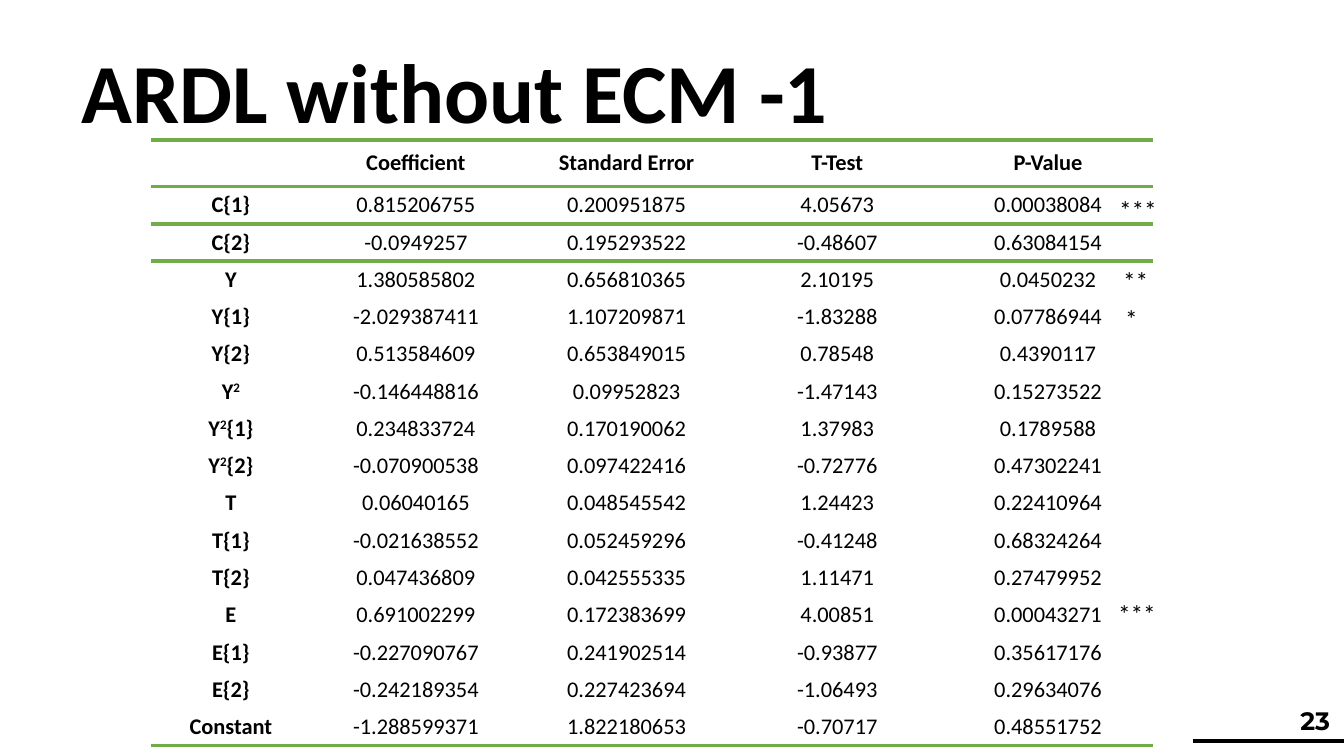
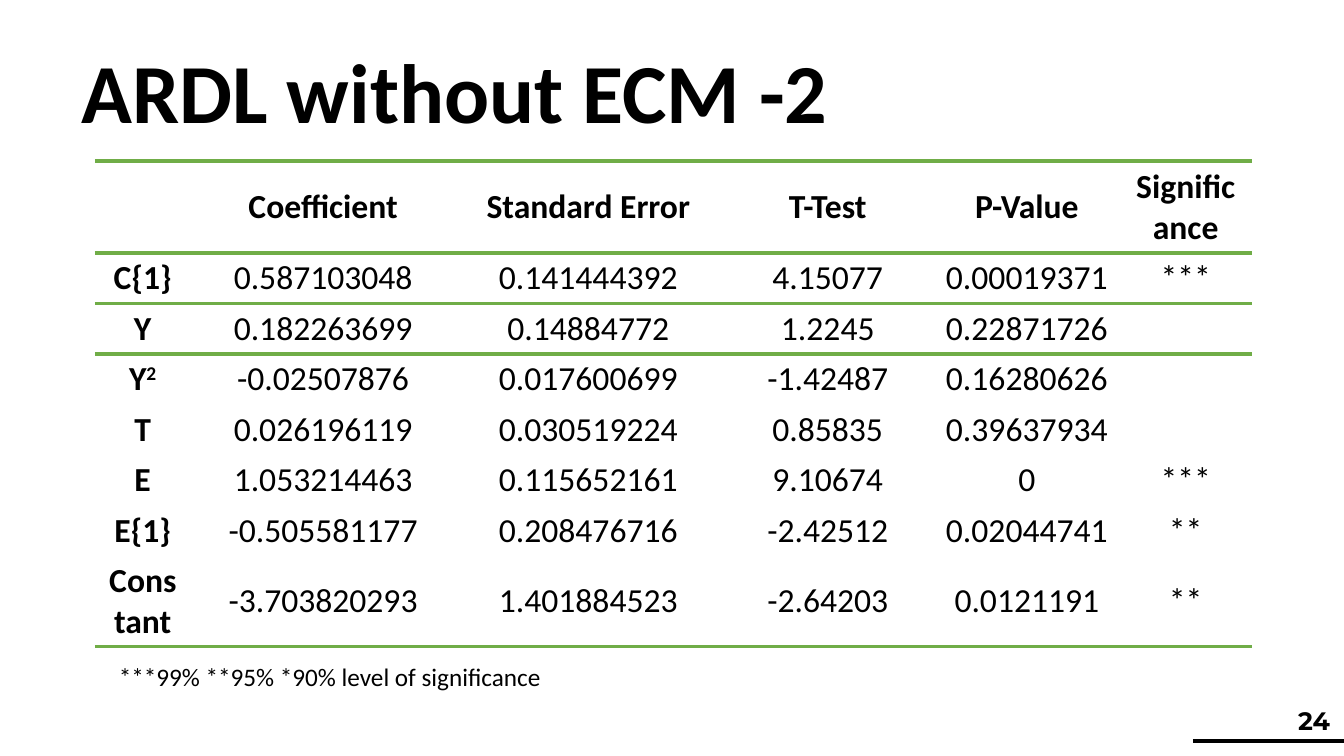
from lxml import etree
from pptx import Presentation
from pptx.dml.color import RGBColor
from pptx.enum.shapes import MSO_CONNECTOR
from pptx.enum.text import MSO_ANCHOR, MSO_AUTO_SIZE, PP_ALIGN
from pptx.oxml.ns import qn
from pptx.util import Inches, Pt

CENTER, LEFT, RIGHT = PP_ALIGN.CENTER, PP_ALIGN.LEFT, PP_ALIGN.RIGHT
TOP, MIDDLE = MSO_ANCHOR.TOP, MSO_ANCHOR.MIDDLE
GROW = MSO_AUTO_SIZE.SHAPE_TO_FIT_TEXT
STRAIGHT = MSO_CONNECTOR.STRAIGHT

COLORS = {"text": "000000", "rule": "70AD47", "background": "FFFFFF"}
BODY_FONT, NUMBER_FONT = "Calibri", "Montserrat"
PLAIN_TABLE_STYLE = "{2D5ABB26-0587-4C30-8999-92F81FD0307C}"
RULE_POINTS = 3
TITLE_BOX = (0.71, 0.23, 11.5, 1.45)
NUMBER_BOX = (10.29, 6.95, 3, 0.4)
HEADINGS = ["", "Coefficient", "Standard Error", "T-Test", "P-Value"]

LONG_MODEL = [
    HEADINGS,
    ["C{1}", "0.815206755", "0.200951875", "4.05673", "0.00038084"],
    ["C{2}", "-0.0949257", "0.195293522", "-0.48607", "0.63084154"],
    ["Y", "1.380585802", "0.656810365", "2.10195", "0.0450232"],
    ["Y{1}", "-2.029387411", "1.107209871", "-1.83288", "0.07786944"],
    ["Y{2}", "0.513584609", "0.653849015", "0.78548", "0.4390117"],
    ["Y²", "-0.146448816", "0.09952823", "-1.47143", "0.15273522"],
    ["Y²{1}", "0.234833724", "0.170190062", "1.37983", "0.1789588"],
    ["Y²{2}", "-0.070900538", "0.097422416", "-0.72776", "0.47302241"],
    ["T", "0.06040165", "0.048545542", "1.24423", "0.22410964"],
    ["T{1}", "-0.021638552", "0.052459296", "-0.41248", "0.68324264"],
    ["T{2}", "0.047436809", "0.042555335", "1.11471", "0.27479952"],
    ["E", "0.691002299", "0.172383699", "4.00851", "0.00043271"],
    ["E{1}", "-0.227090767", "0.241902514", "-0.93877", "0.35617176"],
    ["E{2}", "-0.242189354", "0.227423694", "-1.06493", "0.29634076"],
    ["Constant", "-1.288599371", "1.822180653", "-0.70717", "0.48551752"],
]
SHORT_MODEL = [
    HEADINGS + ["Significance"],
    ["C{1}", "0.587103048", "0.141444392", "4.15077", "0.00019371", "***"],
    ["Y", "0.182263699", "0.14884772", "1.2245", "0.22871726", ""],
    ["Y²", "-0.02507876", "0.017600699", "-1.42487", "0.16280626", ""],
    ["T", "0.026196119", "0.030519224", "0.85835", "0.39637934", ""],
    ["E", "1.053214463", "0.115652161", "9.10674", "0", "***"],
    ["E{1}", "-0.505581177", "0.208476716", "-2.42512", "0.02044741", "**"],
    ["Constant", "-3.703820293", "1.401884523", "-2.64203", "0.0121191", "**"],
]
STARS = [
    ("***", (11, 1.88, 0.58, 0.4)),
    ("***", (10.99, 5.89, 0.58, 0.4)),
    ("**", (11.04, 2.58, 0.45, 0.4)),
    ("*", (11.06, 2.96, 0.33, 0.4)),
]


def add_run(paragraph, text, size, bold=False, font=BODY_FONT, raised=False):
    """Append one styled run, raised when it is an exponent."""
    run = paragraph.add_run()
    run.text = text
    run.font.size = Pt(size)
    run.font.bold = bold
    run.font.name = font
    run.font.color.rgb = RGBColor.from_string(COLORS["text"])
    if raised:
        run.font._element.set("baseline", "30000")


def add_label(slide, box, text, size, bold=False, font=BODY_FONT,
              align=LEFT, anchor=TOP, wrap=True, spacing=None):
    """Place a one-paragraph text box; an unwrapped one fits its text."""
    frame = slide.shapes.add_textbox(*map(Inches, box)).text_frame
    frame.word_wrap = wrap
    frame.vertical_anchor = anchor
    if not wrap:
        frame.auto_size = GROW
    paragraph = frame.paragraphs[0]
    paragraph.alignment = align
    paragraph.line_spacing = spacing
    add_run(paragraph, text, size, bold, font)


def add_border(cell, side):
    """Draw the green rule on one side of a cell."""
    border = etree.SubElement(cell._tc.get_or_add_tcPr(), qn(f"a:ln{side}"),
                              w=str(Pt(RULE_POINTS)))
    fill = etree.SubElement(border, qn("a:solidFill"))
    etree.SubElement(fill, qn("a:srgbClr"), val=COLORS["rule"])


def fill_cell(cell, text, size, bold, sides):
    """Write centred text in a cell, with its rules and no fill."""
    cell.vertical_anchor = MIDDLE
    for side in sides:
        add_border(cell, side)
    cell.fill.background()
    paragraph = cell.text_frame.paragraphs[0]
    paragraph.alignment = CENTER
    for index, part in enumerate(text.split("²")):
        if index:
            add_run(paragraph, "2", size, bold, raised=True)
        if part:
            add_run(paragraph, part, size, bold)


def add_results(slide, left, top, rows, widths, header_height, row_height, size):
    """Place a regression table ruled around its first two rows and its end."""
    heights = [header_height] + [row_height] * (len(rows) - 1)
    frame = slide.shapes.add_table(
        len(rows), len(widths), Inches(left), Inches(top),
        Inches(sum(widths)), Inches(sum(heights)))
    table = frame.table
    table.first_row = table.horz_banding = False
    table._tbl.tblPr.find(qn("a:tableStyleId")).text = PLAIN_TABLE_STYLE
    for column, width in zip(table.columns, widths):
        column.width = Inches(width)
    for row, height in zip(table.rows, heights):
        row.height = Inches(height)
    last = len(rows) - 1
    for row_index, values in enumerate(rows):
        sides = (["T"] if row_index <= 2 else [])
        sides += ["B"] if row_index in (0, 1, last) else []
        for column_index, value in enumerate(values):
            bold = row_index == 0 or column_index == 0
            fill_cell(table.cell(row_index, column_index), value, size, bold, sides)


def add_footer(slide, number):
    """Place the page number and the line under it."""
    line = slide.shapes.add_connector(
        STRAIGHT, Inches(11.83), Inches(7.35), Inches(13.33), Inches(7.35))
    line.line.color.rgb = RGBColor.from_string(COLORS["text"])
    line.line.width = Pt(3)
    etree.SubElement(line._element.spPr, qn("a:effectLst"))
    add_label(slide, NUMBER_BOX, str(number), 18, True, NUMBER_FONT, RIGHT)


def add_model_slide(presentation, title, number):
    """Start a slide with the shared background, footer and title."""
    slide = presentation.slides.add_slide(presentation.slide_layouts[6])
    slide.background.fill.solid()
    slide.background.fill.fore_color.rgb = RGBColor.from_string(COLORS["background"])
    add_footer(slide, number)
    add_label(slide, TITLE_BOX, title, 60, True, anchor=MIDDLE, spacing=0.9)
    return slide


def main():
    """Build both slides and save them."""
    presentation = Presentation()
    presentation.slide_width = Inches(13.33)
    presentation.slide_height = Inches(7.5)

    slide = add_model_slide(presentation, "ARDL without ECM -1", 23)
    add_results(slide, 1.5, 1.39, LONG_MODEL, [1.58] + [2.09] * 4, 0.46, 0.37, 16)
    for stars, box in STARS:
        add_label(slide, box, stars, 18, wrap=False)

    slide = add_model_slide(presentation, "ARDL without ECM -2", 24)
    add_results(slide, 0.94, 1.6, SHORT_MODEL,
                [0.95, 2.63, 2.63, 2.12, 1.83, 1.32], 0.91, 0.5, 24)
    add_label(slide, (1.08, 6.51, 4.44, 0.4),
              "***99% **95% *90% level of significance", 18, wrap=False)

    presentation.save("out.pptx")


if __name__ == "__main__":
    main()
